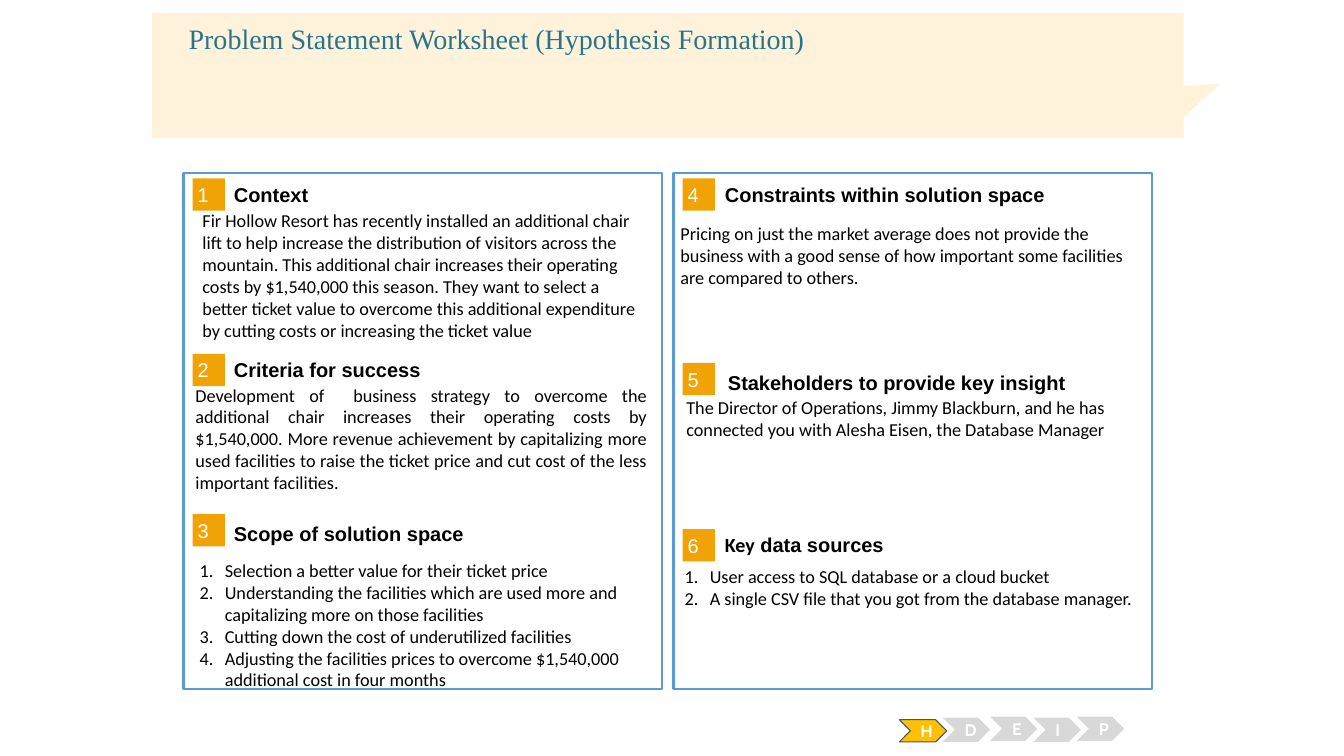
from pptx import Presentation
from pptx.dml.color import RGBColor
from pptx.enum.shapes import MSO_SHAPE as SHAPE
from pptx.enum.text import MSO_ANCHOR as ANCHOR, MSO_AUTO_SIZE as FIT, PP_ALIGN as ALIGN
from pptx.oxml.xmlchemy import OxmlElement
from pptx.util import Inches, Pt

COLORS = {
    "white": "FFFFFF", "black": "000000", "frame": "5B9BD5", "badge": "F1A205",
    "banner": "FEF2DA", "title": "29748D", "active": "FFC000", "edge": "44546A",
    "idle": "D8D8D8",
}
ROWS = 75  # square grid cells down the slide
PADDED = (1, 0.5)  # horizontal and vertical text inset, in cells
TIGHT = (0, 0)


def color(name):
    """Return the named palette colour."""
    return RGBColor.from_string(COLORS[name])


def number(p):
    """Give a paragraph an automatic number with a hanging indent."""
    pPr = p._p.get_or_add_pPr()
    pPr.set("marL", str(Inches(0.25)))
    pPr.set("indent", str(-Inches(0.25)))
    bullet = OxmlElement("a:buAutoNum")
    bullet.set("type", "arabicPeriod")
    pPr.append(bullet)


def write(tf, paragraphs, size=13, font="Calibri", ink="black", bold=False,
          align=ALIGN.LEFT, numbered=False):
    """Fill a text frame; a paragraph is a string or a list of (text, font) runs."""
    for i, content in enumerate(paragraphs):
        p = tf.add_paragraph() if i else tf.paragraphs[0]
        p.alignment = align
        p.space_before = p.space_after = Pt(0)
        p.line_spacing = 1.0
        if numbered:
            number(p)
        runs = [(content, font)] if isinstance(content, str) else content
        for text, face in runs:
            r = p.add_run()
            r.text = text
            r.font.size, r.font.name, r.font.bold = Pt(size), face, bold
            r.font.color.rgb = color(ink)


class Sheet:
    """Holds the current slide, its grid and the style of its elements."""

    def __init__(self, prs):
        """Add a slide with a title and two body placeholders."""
        self.s = prs.slides.add_slide(prs.slide_layouts[3])
        self.cell = prs.slide_height / ROWS
        self.title_ph, *self.bodies = self.s.placeholders

    def units(self, *lengths):
        """Turn grid cells into slide lengths."""
        return [round(n * self.cell) for n in lengths]

    def frame(self, sp, inset, anchor):
        """Prepare the text frame of a shape."""
        tf = sp.text_frame
        tf.word_wrap, tf.auto_size, tf.vertical_anchor = True, FIT.NONE, anchor
        dx, dy = self.units(*inset)
        tf.margin_left = tf.margin_right = dx
        tf.margin_top = tf.margin_bottom = dy
        return tf

    def shape(self, kind, box, fill, line=None, width=0.75, adjust=()):
        """Draw a flat preset shape."""
        sp = self.s.shapes.add_shape(kind, *self.units(*box))
        sp.shadow.inherit = False
        sp.fill.solid()
        sp.fill.fore_color.rgb = color(fill)
        if line:
            sp.line.color.rgb = color(line)
            sp.line.width = Pt(width)
        else:
            sp.line.fill.background()
        for i, value in enumerate(adjust):
            sp.adjustments[i] = value
        return sp

    def text(self, box, paragraphs, inset=PADDED, anchor=ANCHOR.TOP, **fmt):
        """Add a text box."""
        sp = self.s.shapes.add_textbox(*self.units(*box))
        write(self.frame(sp, inset, anchor), paragraphs, **fmt)

    def place(self, sp, box, paragraphs, inset=PADDED, **fmt):
        """Move a placeholder to the front and fill it."""
        self.s.shapes._spTree.append(sp._element)
        sp.left, sp.top, sp.width, sp.height = self.units(*box)
        write(self.frame(sp, inset, ANCHOR.TOP), paragraphs, **fmt)

    def badge(self, x, y, label):
        """Draw a numbered square."""
        sp = self.shape(SHAPE.RECTANGLE, (x, y, 3.2, 3.2), "badge")
        write(self.frame(sp, (0.5, 0.5), ANCHOR.MIDDLE), [label],
              size=14.3, font="Arial", ink="white")

    def heading(self, x, y, content):
        """Add a section heading."""
        self.text((x, y, 39.3, 2.5), [content], inset=TIGHT, anchor=ANCHOR.MIDDLE,
                  size=14.3, font="Arial", bold=True)

    def numbered(self, box, items):
        """Put a numbered list in the next free body placeholder."""
        self.place(self.bodies.pop(0), box, items, numbered=True)

    def stage(self, box, letter, active):
        """Draw one chevron of the progress tracker."""
        fill, line = ("active", "edge") if active else ("idle", None)
        sp = self.shape(SHAPE.CHEVRON, box, fill, line, adjust=[0.5])
        write(self.frame(sp, PADDED, ANCHOR.MIDDLE), [letter], size=12,
              font="Cabin", ink="white", bold=True, align=ALIGN.CENTER)


# Per panel: badge top, heading (offset, top, text), body (offset, top, width, height), text
PANELS = {
    18.2: [
        (17.7, (5, 18, "Context"), (0.9, 20.3, 45.5, 13.3),
         "Fir Hollow Resort has recently installed an additional chair lift to help "
         "increase the distribution of visitors across the mountain. This additional chair "
         "increases their operating costs by $1,540,000 this season. They want to select a "
         "better ticket value to overcome this additional expenditure by cutting costs or "
         "increasing the ticket value", ALIGN.LEFT),
        (35.1, (5, 35.4, "Criteria for success"), (0.2, 37.6, 46.7, 15.4),
         "Development of  business strategy to overcome the additional chair increases their "
         "operating costs by $1,540,000. More revenue achievement by capitalizing more used "
         "facilities to raise the ticket price and cut cost of the less important facilities.",
         ALIGN.JUSTIFY),
        (51, (5, 51.7, "Scope of solution space"), (0.6, 55, 47.3, 8.2),
         ["Selection a better value for their ticket price",
          "Understanding the facilities which are used more and capitalizing more on those "
          "facilities",
          "Cutting down the cost of underutilized facilities",
          "Adjusting the facilities prices to overcome $1,540,000 additional cost in four "
          "months"], None),
    ],
    66.8: [
        (17.7, (5.1, 18, "Constraints within solution space"), (-0.3, 21.6, 47.6, 13.7),
         "Pricing on just the market average does not provide the business with a good sense "
         "of how important some facilities are compared to others.", ALIGN.LEFT),
        (36, (5.4, 36.7, "Stakeholders to provide key insight"), (0.3, 38.8, 47.3, 12.7),
         "The Director of Operations, Jimmy Blackburn, and he has connected you with Alesha "
         "Eisen, the Database Manager", ALIGN.LEFT),
        (52.5, (5.1, 52.8, [("Key", "Calibri"), (" data sources", "Arial")]),
         (0.1, 55.6, 47.3, 11.8),
         ["User access to SQL database or a cloud bucket",
          "A single CSV file that you got from the database manager."], None),
    ],
}
# Letter, left, top and height of each progress chevron
STAGES = [("H", 89.2, 71.4, 2.2), ("D", 93.5, 71.2, 2.4), ("E", 98.2, 71.1, 2.4),
          ("I", 102.5, 71.2, 2.4), ("P", 106.8, 71.1, 2.4)]

prs = Presentation()
prs.slide_width, prs.slide_height = Inches(13.33), Inches(7.5)
sheet = Sheet(prs)

sheet.shape(SHAPE.RECTANGULAR_CALLOUT, (15.1, 1.3, 102.3, 12.4), "banner",
            adjust=[0.535, 0.066])
sheet.place(sheet.title_ph, (18.7, 2.1, 96.2, 3.4),
            ["Problem Statement Worksheet (Hypothesis Formation)"], inset=TIGHT,
            size=20, font="Times New Roman", ink="title")

for left in PANELS:
    sheet.shape(SHAPE.RECTANGLE, (left, 17.2, 47.5, 51.2), "white", "frame", 1.5)
for left, sections in PANELS.items():
    first = 1 if left == min(PANELS) else 4
    for n, (top, (dx, y, head), (bx, *rest), body, align) in enumerate(sections, first):
        sheet.badge(left + 0.9, top, str(n))
        sheet.heading(left + dx, y, head)
        box = (left + bx, *rest)
        if isinstance(body, list):
            sheet.numbered(box, body)
        else:
            sheet.text(box, [body], align=align)

for letter, x, y, height in STAGES:
    sheet.stage((x, y, 4.7, height), letter, active=letter == "H")

prs.save("out.pptx")
